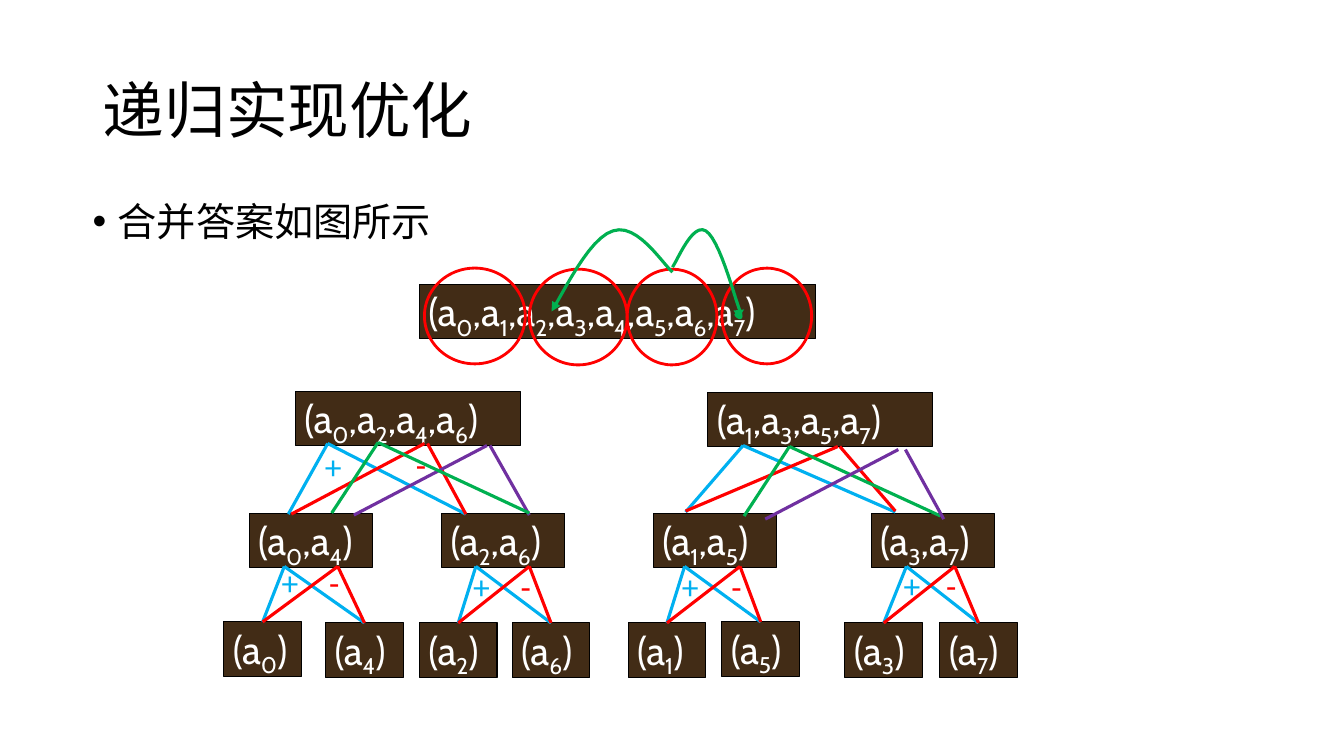
from lxml import etree
from pptx import Presentation
from pptx.dml.color import RGBColor
from pptx.enum.shapes import MSO_CONNECTOR, MSO_SHAPE
from pptx.enum.text import MSO_ANCHOR, PP_ALIGN
from pptx.oxml.ns import qn
from pptx.util import Inches, Pt

STRAIGHT = MSO_CONNECTOR.STRAIGHT
RECTANGLE, OVAL = MSO_SHAPE.RECTANGLE, MSO_SHAPE.OVAL
TOP, MIDDLE = MSO_ANCHOR.TOP, MSO_ANCHOR.MIDDLE
LEFT, CENTER = PP_ALIGN.LEFT, PP_ALIGN.CENTER
TOP_SIDE = 0
CELL = Inches(0.1)
CURVE_STEPS = 12
WIRE = 2.25
CHINESE, FORMULA, SIGN = "Noto Sans CJK SC", "Cabin", "Calibri"
COLOURS = {
    "ink": "000000", "paper": "FFFFFF", "node": "422C16", "blue": "00B0F0",
    "red": "FF0000", "green": "00B050", "purple": "7030A0",
}

ROOT = (19.6, 6.2, 39.3, "01234567")
QUADS = [(7.3, 16.8, 22.3, "0246"), (48.2, 16.9, 22.3, "1357")]
PAIRS = [(2.7, "04"), (21.8, "26"), (42.8, "15"), (64.4, "37")]
LEAVES = [
    (0.2, 39.7, "0"), (10.3, 39.8, "4"), (19.6, 39.8, "2"), (28.8, 39.8, "6"),
    (40.3, 39.8, "1"), (49.6, 39.7, "5"), (61.8, 39.8, "3"), (71.2, 39.8, "7"),
]
BUTTERFLIES = [(6.2, 11.5, 33.3), (25.2, 30.5, 33.7), (45.9, 51.4, 33.7), (67.9, 72.7, 33.6)]
CROSSINGS = [
    ("blue", 6.6, 24.2, 29, 10.5, 10.5, 22),
    ("red", 6.9, 24.2, 29, 20.1, 20.4, 22),
    ("purple", 13.1, 30.5, 29.1, 26.3, 26.6, 22.2),
    ("green", 10.9, 30.5, 28.9, 15.5, 15.5, 21.9),
    ("blue", 46, 66.8, 28.8, 51.7, 51.7, 22.2),
    ("red", 46, 66.8, 28.7, 61.1, 61.3, 22.3),
    ("green", 51.8, 71.3, 29.2, 56.3, 56.3, 22.3),
    ("purple", 53.9, 71.6, 29.5, 67.1, 67.8, 22.6),
]
RINGS = [(20.1, 4.6, 10), (30.5, 4.7, 9.7), (40.2, 4.7, 8.9), (49.6, 4.6, 8.9)]
ARCS = [
    [(44.7, 4.5), (45.3, 3.6), (46.7, 0.1), (48, 0.9), (49.3, 1.7), (50.7, 6.9),
     (51.3, 8.6), (51.9, 10.2), (50.9, 9.2), (51, 9.2), (51.1, 9.2), (51.6, 8.8), (51.8, 8.7)],
    [(44.7, 5), (43.6, 4), (41.2, 0.1), (38.8, 0.9), (36.4, 1.6), (33.8, 7.2), (32.7, 8.9)],
]


def colour(name):
    """Return a named colour."""
    return RGBColor.from_string(COLOURS[name])


def place(box, column, row):
    """Turn a grid point inside a box into slide lengths."""
    return round(box[0] + column * CELL), round(box[1] + row * CELL)


def write(para, text, size, font, ink, align=LEFT, spacing=1.0, subscript=False):
    """Add a formatted run to a paragraph."""
    para.alignment, para.line_spacing = align, spacing
    span = para.add_run()
    span.text = text
    span.font.size, span.font.name = Pt(size), font
    span.font.color.rgb = colour(ink)
    properties = span._r.get_or_add_rPr()
    etree.SubElement(properties, qn("a:ea"), typeface=font)
    if subscript:
        properties.set("baseline", "-25000")


def draw_title(page, box, text):
    """Place and fill the title placeholder."""
    title = page.shapes.title
    title.left, title.top, title.width, title.height = box
    title.text_frame.vertical_anchor = MIDDLE
    write(title.text_frame.paragraphs[0], text, 44, CHINESE, "ink", spacing=0.9)


def draw_bullet(page, box, text):
    """Write one bulleted line."""
    frame = page.shapes.add_textbox(*box).text_frame
    frame.word_wrap = True
    para = frame.paragraphs[0]
    properties = para._p.get_or_add_pPr()
    properties.set("marL", str(Inches(0.25)))
    properties.set("indent", str(-Inches(0.25)))
    etree.SubElement(properties, qn("a:buFont"), typeface="Arial")
    etree.SubElement(properties, qn("a:buChar"), char="•")
    write(para, text, 28, CHINESE, "ink", spacing=0.9)


def draw_node(page, box, column, row, width, indices):
    """Draw a rectangle listing the coefficients with the given indices."""
    node = page.shapes.add_shape(
        RECTANGLE, *place(box, column, row), round(width * CELL), round(5.4 * CELL))
    node.shadow.inherit = False
    node.fill.solid()
    node.fill.fore_color.rgb = colour("node")
    node.line.color.rgb, node.line.width = colour("ink"), Pt(0.75)
    frame = node.text_frame
    frame.word_wrap, frame.vertical_anchor = True, TOP
    frame.margin_left, frame.margin_right = Inches(0.09), 0
    frame.margin_top, frame.margin_bottom = Inches(0.03), 0
    para = frame.paragraphs[0]
    for position, index in enumerate(indices):
        write(para, ",a" if position else "(a", 28, FORMULA, "paper")
        write(para, index, 28, FORMULA, "paper", subscript=True)
    write(para, ")", 28, FORMULA, "paper")
    return node


def draw_wire(page, box, start, end, ink, node=None):
    """Draw a line between grid points, joined to the top of a node if given."""
    wire = page.shapes.add_connector(STRAIGHT, *place(box, *start), *place(box, *end))
    if node is not None:
        wire.begin_connect(node, TOP_SIDE)
    wire.line.color.rgb, wire.line.width = colour(ink), Pt(WIRE)
    etree.SubElement(wire._element.spPr, qn("a:effectLst"))


def draw_sign(page, box, column, row, text, ink):
    """Write a plus or minus sign."""
    frame = page.shapes.add_textbox(
        *place(box, column, row), round(4.1 * CELL), 5 * CELL).text_frame
    frame.word_wrap = True
    write(frame.paragraphs[0], text, 24, SIGN, ink, align=CENTER)


def draw_tree(page, box):
    """Draw the nodes of the recursion and the wires that merge them."""
    draw_node(page, box, *ROOT)
    for quad in QUADS:
        draw_node(page, box, *quad)
    for column, indices in PAIRS:
        draw_node(page, box, column, 28.9, 12.2, indices)
    leaves = [draw_node(page, box, column, row, 7.7, index) for column, row, index in LEAVES]
    for number, (plus, minus, sign_row) in enumerate(BUTTERFLIES):
        for ink, apex in (("blue", plus), ("red", minus)):
            for position in (2 * number, 2 * number + 1):
                column, row, _ = LEAVES[position]
                draw_wire(page, box, (column + 3.85, row), (apex, 34.2), ink, leaves[position])
        draw_sign(page, box, plus - 1.5, sign_row, "+", "blue")
        draw_sign(page, box, minus - 2.4, sign_row, "-", "red")
    for ink, low_left, low_right, low, top_left, top_right, top in CROSSINGS:
        draw_wire(page, box, (low_left, low), (top_left, top), ink)
        draw_wire(page, box, (low_right, low), (top_right, top), ink)
    draw_sign(page, box, 9, 21.7, "+", "blue")
    draw_sign(page, box, 17.7, 21.5, "-", "red")


def curve_points(controls):
    """Sample a chain of cubic curves."""
    points = [controls[0]]
    for first in range(0, len(controls) - 1, 3):
        corners = controls[first:first + 4]
        for step in range(1, CURVE_STEPS + 1):
            t = step / CURVE_STEPS
            weights = ((1 - t) ** 3, 3 * t * (1 - t) ** 2, 3 * t * t * (1 - t), t ** 3)
            points.append(tuple(
                sum(weight * corner[axis] for weight, corner in zip(weights, corners))
                for axis in (0, 1)))
    return points


def draw_marks(page, box):
    """Draw the rings around the root's terms and the curved arrows."""
    for column, row, width in RINGS:
        ring = page.shapes.add_shape(
            OVAL, *place(box, column, row), round(width * CELL), round(9.5 * CELL))
        ring.shadow.inherit = False
        ring.fill.background()
        ring.line.color.rgb, ring.line.width = colour("red"), Pt(2)
    for controls in ARCS:
        points = [place(box, *point) for point in curve_points(controls)]
        builder = page.shapes.build_freeform(*points[0])
        builder.add_line_segments(points[1:], close=False)
        arc = builder.convert_to_shape()
        arc.shadow.inherit = False
        arc.fill.background()
        arc.line.color.rgb, arc.line.width = colour("green"), Pt(WIRE)
        etree.SubElement(arc.line._get_or_add_ln(), qn("a:tailEnd"), type="triangle")


def main():
    """Build and save the slide."""
    deck = Presentation()
    deck.slide_width, deck.slide_height = Inches(13.33), Inches(7.5)
    page = deck.slides.add_slide(deck.slide_layouts[5])
    draw_title(page, (Inches(0.92), Inches(0.4), Inches(11.5), Inches(1.45)), "递归实现优化")
    draw_bullet(page, (Inches(0.82), Inches(1.96), Inches(11.5), Inches(0.6)), "合并答案如图所示")
    diagram = (Inches(2.2), Inches(2.2))
    draw_tree(page, diagram)
    draw_marks(page, diagram)
    deck.save("out.pptx")


if __name__ == "__main__":
    main()
